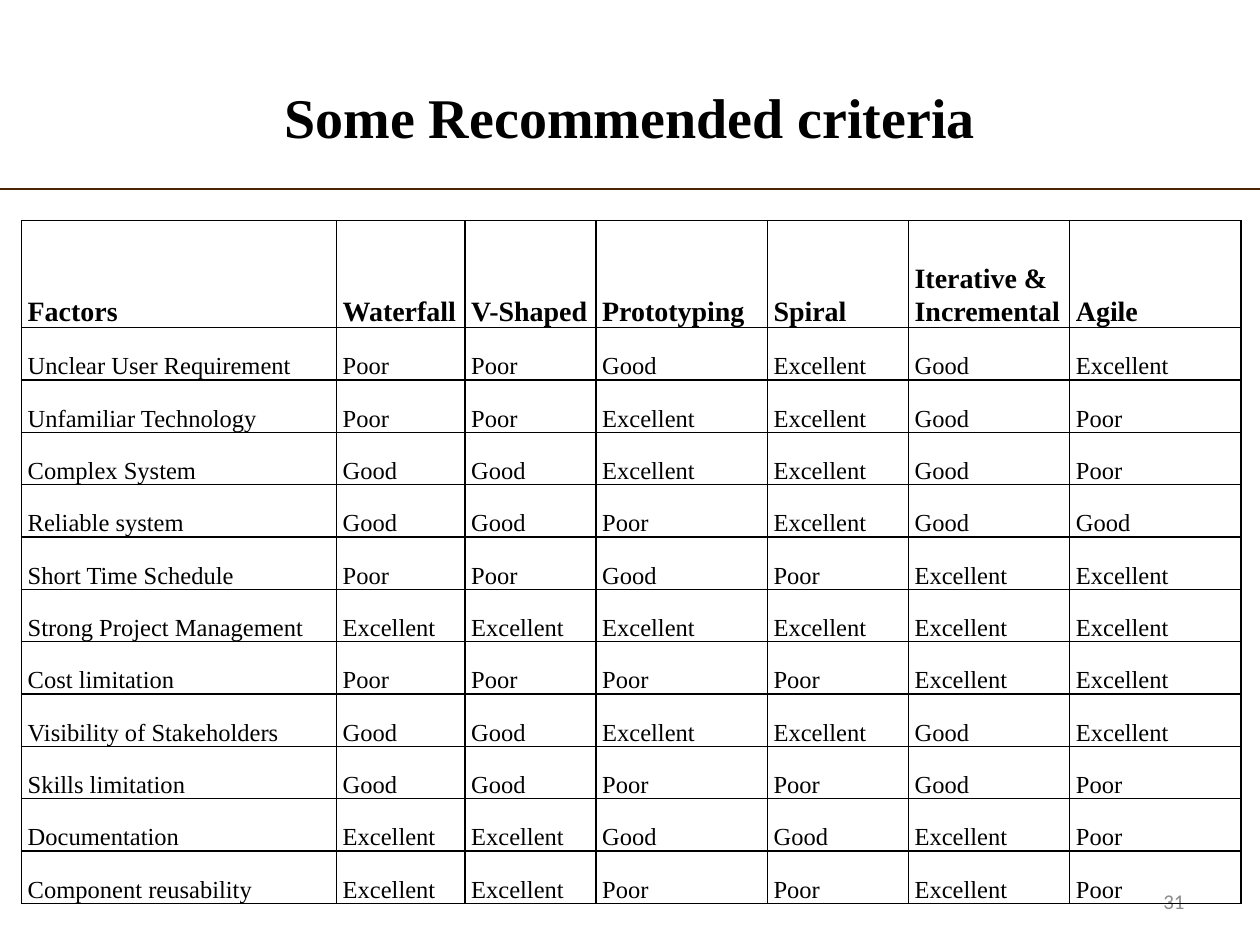
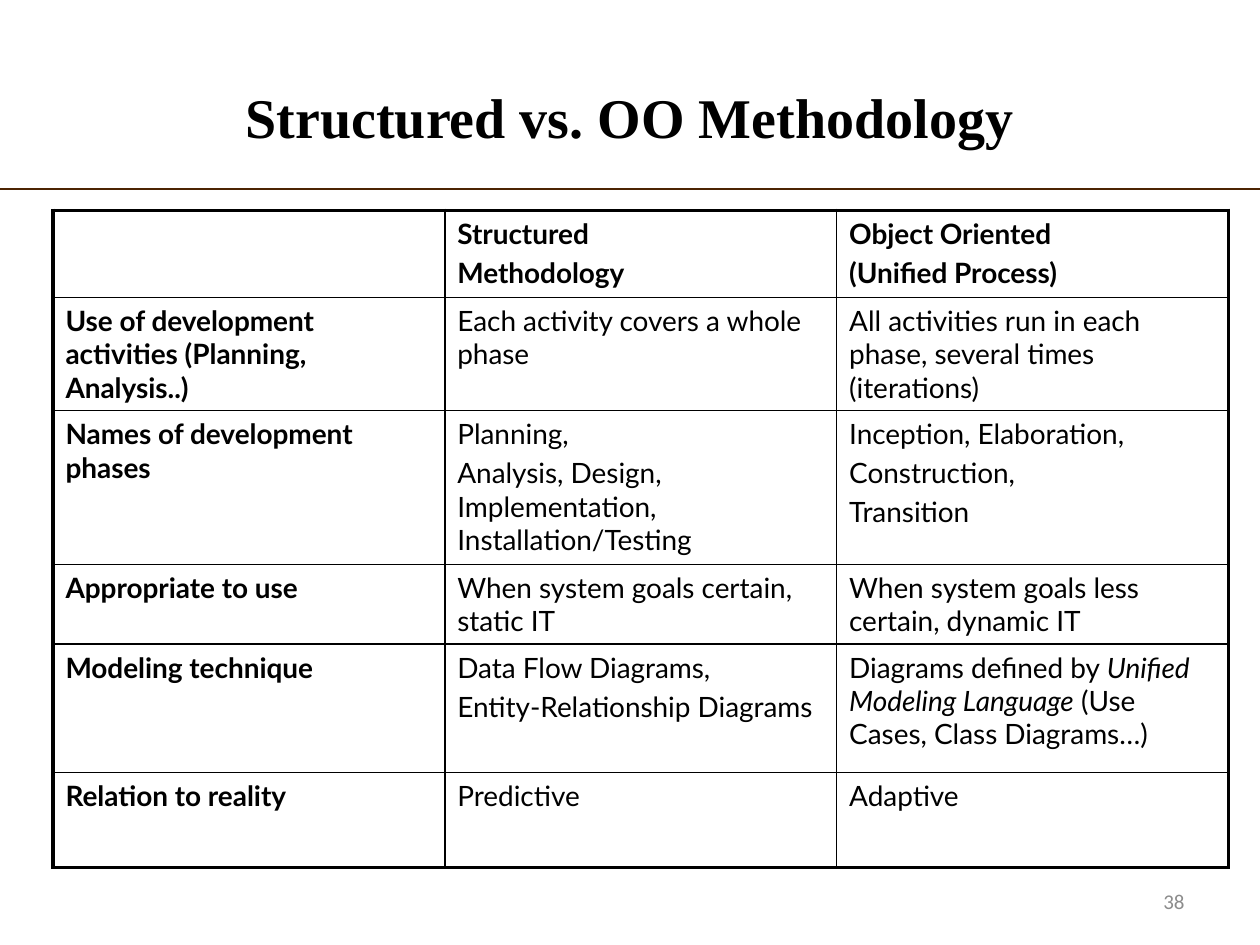
from lxml import etree
from pptx import Presentation
from pptx.dml.color import RGBColor
from pptx.enum.shapes import MSO_CONNECTOR
from pptx.enum.text import MSO_ANCHOR, PP_ALIGN
from pptx.oxml import parse_xml
from pptx.oxml.ns import nsdecls, qn
from pptx.util import Inches, Pt

STRAIGHT = MSO_CONNECTOR.STRAIGHT
TOP, MID, LOW = MSO_ANCHOR.TOP, MSO_ANCHOR.MIDDLE, MSO_ANCHOR.BOTTOM
CENTER, RIGHT = PP_ALIGN.CENTER, PP_ALIGN.RIGHT
BLACK = RGBColor(0x00, 0x00, 0x00)
BROWN = RGBColor(0x4C, 0x24, 0x03)
GRAY = RGBColor(0x8C, 0x8C, 0x8C)
SERIF, SANS, PLAIN = "Times New Roman", "Lato", "Calibri"

RATES = {"P": "Poor", "G": "Good", "E": "Excellent"}
FACTORS = [
    ("Unclear User Requirement", "PPGEGE"),
    ("Unfamiliar Technology", "PPEEGP"),
    ("Complex System", "GGEEGP"),
    ("Reliable system", "GGPEGG"),
    ("Short Time Schedule", "PPGPEE"),
    ("Strong Project Management", "EEEEEE"),
    ("Cost limitation", "PPPPEE"),
    ("Visibility of Stakeholders", "GGEEGE"),
    ("Skills limitation", "GGPPGP"),
    ("Documentation", "EEGGEP"),
    ("Component reusability", "EEPPEP"),
]
MODELS = ["Factors", "Waterfall", "V-Shaped", "Prototyping", "Spiral",
          "Iterative & Incremental", "Agile"]
METHODS = [
    ["", "Structured\nMethodology", "Object Oriented\n(Unified Process)"],
    ["Use of development activities (Planning, Analysis..)",
     "Each activity covers a whole phase",
     "All activities run in each phase, several times (iterations)"],
    ["Names of development phases",
     "Planning,\nAnalysis, Design, Implementation, Installation/Testing",
     "Inception, Elaboration,\nConstruction,\nTransition"],
    ["Appropriate to use",
     "When system goals certain, static IT",
     "When system goals less certain, dynamic IT"],
    ["Modeling technique",
     "Data Flow Diagrams,\nEntity-Relationship Diagrams",
     "Diagrams defined by *Unified Modeling Language* (Use Cases, Class Diagrams…)"],
    ["Relation to reality", "Predictive", "Adaptive"],
]

SLIDES = [
    {"title": "Some Recommended criteria", "page": "31",
     "rows": [MODELS] + [[name] + [RATES[c] for c in code]
                         for name, code in FACTORS],
     "box": (0.17, 1.75, 9.67, 5.42),
     "wide": [2.5, 1.02, 1.04, 1.36, 1.12, 1.28, 1.36],
     "high": [0.85] + [(5.42 - 0.85) / len(FACTORS)] * len(FACTORS),
     "cell": {"vertical_anchor": LOW, "margin_left": Inches(0.05),
              "margin_right": 0, "margin_top": 0, "margin_bottom": 0},
     "para": {"line_spacing": 1.07, "space_after": Pt(8)},
     "font": SERIF, "head": 16, "size": 14, "edge": 1, "side": False},
    {"title": "Structured vs. OO Methodology", "page": "38",
     "rows": METHODS,
     "box": (0.42, 1.67, 9.33, 5.21),
     "wide": [9.33 / 3] * 3,
     "high": [0.69, 0.9, 1.22, 0.63, 1.02, 0.75],
     "cell": {"vertical_anchor": TOP},
     "para": {"space_before": Pt(3.2)},
     "font": SANS, "head": 16, "size": 16, "edge": 2.25, "side": True},
]


def style(item, form):
    for key, value in form.items():
        if key == "color":
            item.color.rgb = value
        else:
            setattr(item, key, value)


def border(cell, sides):
    props = cell._tc.get_or_add_tcPr()
    for side, width in sides.items():
        props.append(parse_xml(
            f'<a:ln{side} {nsdecls("a")} w="{Pt(width)}"><a:solidFill>'
            f'<a:srgbClr val="{BLACK}"/></a:solidFill></a:ln{side}>'))
    cell.fill.background()


deck = Presentation()
deck.slide_width, deck.slide_height = Inches(10), Inches(7.5)

for data in SLIDES:
    slide = deck.slides.add_slide(deck.slide_layouts[5])
    title = slide.shapes.title
    style(title, {"left": Inches(0.5), "top": Inches(0.3),
                  "width": Inches(9), "height": Inches(1.25)})
    note = slide.shapes.add_textbox(Inches(7.17), Inches(6.95),
                                    Inches(2.33), Inches(0.4))
    for shape, text, align, font in [
        (title, data["title"], CENTER,
         {"name": SERIF, "size": Pt(32), "bold": True, "color": BLACK}),
        (note, data["page"], RIGHT,
         {"name": PLAIN, "size": Pt(12), "color": GRAY}),
    ]:
        frame = shape.text_frame
        style(frame, {"text": text, "word_wrap": True, "vertical_anchor": MID})
        frame.paragraphs[0].alignment = align
        style(frame.paragraphs[0].runs[0].font, font)

    rule = slide.shapes.add_connector(STRAIGHT, 0, Inches(1.5),
                                      Inches(10), Inches(1.5))
    style(rule.line, {"color": BROWN, "width": Pt(1.25)})
    etree.SubElement(rule._element.spPr, qn("a:effectLst"))

    rows = data["rows"]
    last, end = len(rows) - 1, len(rows[0]) - 1
    table = slide.shapes.add_table(last + 1, end + 1,
                                   *map(Inches, data["box"])).table
    style(table, {"first_row": False, "horz_banding": False})
    for col, width in zip(table.columns, data["wide"]):
        col.width = Inches(width)
    for row, height in zip(table.rows, data["high"]):
        row.height = Inches(height)

    edge = data["edge"]
    for r, row in enumerate(rows):
        for c, text in enumerate(row):
            cell = table.cell(r, c)
            style(cell, data["cell"])
            border(cell, {"L": edge if c == 0 else 1,
                          "R": edge if c == end else 1,
                          "T": edge if r == 0 else 1,
                          "B": edge if r == last else 1})
            if not text:
                continue
            frame = cell.text_frame
            for n, line in enumerate(text.split("\n")):
                para = frame.add_paragraph() if n else frame.paragraphs[0]
                style(para, data["para"])
                for k, part in enumerate(line.split("*")):
                    run = para.add_run()
                    run.text = part
                    style(run.font, {
                        "name": data["font"], "color": BLACK,
                        "size": Pt(data["size"] if r else data["head"]),
                        "bold": r == 0 or (data["side"] and c == 0),
                        "italic": k % 2 == 1})

deck.save("out.pptx")
